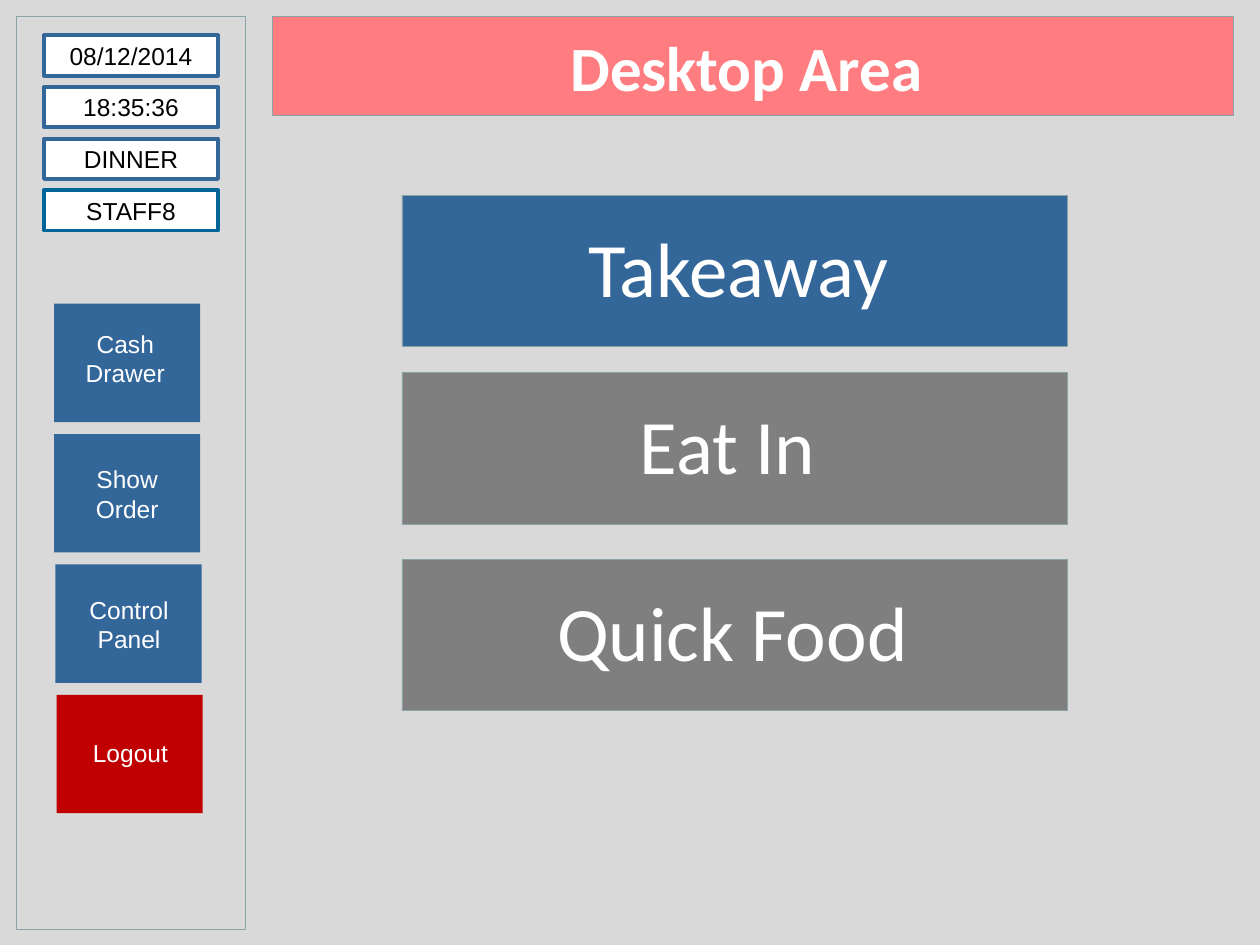
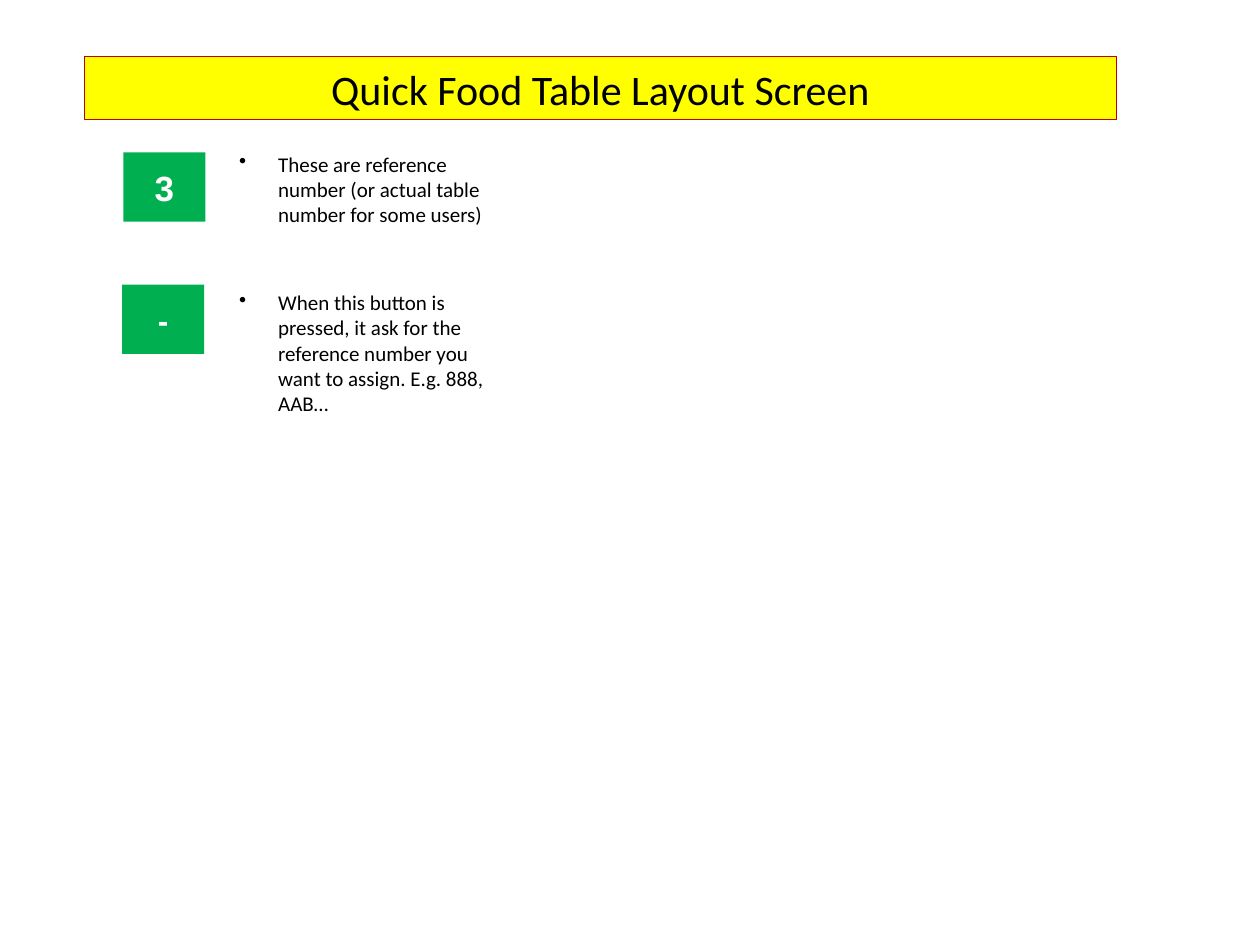
from lxml import etree
from pptx import Presentation
from pptx import util as u
from pptx.dml.color import RGBColor
from pptx.enum import shapes, text
from pptx.oxml.ns import qn

BLUE = "336699"
GREY = "7F7F7F"
RED = "C00000"
GREEN = "00B050"
WHITE = "FFFFFF"
BLACK = "000000"
OUTLINE = "89A4A7"
TITLE_ONLY = 5


def color(value):
    return RGBColor.from_string(value)


def paint(shape, fill=None, line=None, width=0.5):
    if fill:
        shape.fill.solid()
        shape.fill.fore_color.rgb = color(fill)
    else:
        shape.fill.background()
    if line:
        shape.line.color.rgb = color(line)
        shape.line.width = u.Pt(width)
    else:
        shape.line.fill.background()


def write(shape, content, size, font, ink, bold=False, wrap=False,
          anchor=text.MSO_ANCHOR.TOP, align=text.PP_ALIGN.CENTER):
    frame = shape.text_frame
    frame.text = content
    frame.word_wrap = wrap
    frame.auto_size = text.MSO_AUTO_SIZE.NONE
    frame.vertical_anchor = anchor
    for paragraph in frame.paragraphs:
        paragraph.alignment = align
        paragraph.font.size = u.Pt(size)
        paragraph.font.name = font
        paragraph.font.bold = bold
        paragraph.font.color.rgb = color(ink)


def add_box(slide, box, fill=None, line=None, width=0.5):
    shape = slide.shapes.add_shape(shapes.MSO_SHAPE.RECTANGLE, *map(u.Inches, box))
    shape.shadow.inherit = False
    paint(shape, fill, line, width)
    return shape


def add_label(slide, box, content, size, font, ink, **options):
    label = slide.shapes.add_textbox(*map(u.Inches, box))
    write(label, content, size, font, ink, **options)
    return label


def add_title(slide, box, content, size, ink, fill, line, width, **options):
    title = slide.shapes.title
    title.left, title.top, title.width, title.height = map(u.Inches, box)
    paint(title, fill, line, width)
    write(title, content, size, "Calibri", ink, **options)
    return title


def add_status_fields(slide, left, top):
    fields = [("08/12/2014", BLUE), ("18:35:36", BLUE), ("DINNER", BLUE), ("STAFF8", "006699")]
    for row, (content, line) in enumerate(fields):
        field = add_box(slide, (left, top + 0.41 * row, 1.38, 0.32), WHITE, line, 2.25)
        write(field, content, 14, "Arial", BLACK, anchor=text.MSO_ANCHOR.MIDDLE)


def add_side_buttons(slide, left, top):
    buttons = [
        ("Cash\nDrawer", BLUE, 0, (0.15, 0.15, 0.83, 0.57)),
        ("Show\nOrder", BLUE, 0, (0.23, 0.19, 0.7, 0.57)),
        ("Control\nPanel", BLUE, 0.01, (0.17, 0.19, 0.83, 0.57)),
        ("Logout", RED, 0.02, (0.19, 0.29, 0.79, 0.34)),
    ]
    for row, (content, fill, shift, (dx, dy, width, height)) in enumerate(buttons):
        x, y = left + shift, top + 1.035 * row
        add_box(slide, (x, y, 1.16, 0.94), fill)
        add_label(slide, (x + dx, y + dy, width, height), content, 14, "Arial", WHITE)


def add_sidebar(slide, left, top, width, height):
    add_box(slide, (left, top, width, height), line=OUTLINE)
    add_status_fields(slide, left + 0.22, top + 0.15)
    add_side_buttons(slide, left + 0.3, top + 2.28)


def add_order_types(slide, left, top, width):
    order_types = [
        ("Takeaway", BLUE, 0, 1.02, 3.3),
        ("Eat In", GREY, 1.41, 1.5, 2.17),
        ("Quick Food", GREY, 2.89, 0.99, 3.27),
    ]
    for content, fill, dy, label_dx, label_width in order_types:
        add_box(slide, (left, top + dy, width, 1.2), fill, OUTLINE)
        add_label(slide, (left + label_dx, top + dy + 0.15, label_width, 0.84),
                  content, 44, "Calibri", WHITE, wrap=True)


def build_desktop(presentation):
    slide = presentation.slides.add_slide(presentation.slide_layouts[TITLE_ONLY])
    slide.background.fill.solid()
    slide.background.fill.fore_color.rgb = color("D9D9D9")
    title = add_title(slide, (2.16, 0.13, 7.63, 0.79), "Desktop Area", 36, WHITE,
                      "FF7C80", OUTLINE, 0.5, bold=True, anchor=text.MSO_ANCHOR.MIDDLE)
    title.text_frame.margin_right = u.Inches(0.2)
    add_sidebar(slide, 0.13, 0.13, 1.82, 7.25)
    add_order_types(slide, 3.19, 1.55, 5.28)


def add_bullet(paragraph):
    properties = paragraph._p.get_or_add_pPr()
    properties.set("marL", str(u.Inches(0.81)))
    properties.set("indent", str(u.Inches(-0.31)))
    etree.SubElement(properties, qn("a:buChar")).set("char", "•")


def add_key_entry(slide, left, top, key, size, note, note_box):
    button = add_box(slide, (left, top, 0.65, 0.55), GREEN)
    write(button, key, size, "Arial", WHITE, bold=True, anchor=text.MSO_ANCHOR.MIDDLE)
    label = add_label(slide, note_box, note, 12, "Calibri", BLACK,
                      wrap=True, align=text.PP_ALIGN.LEFT)
    add_bullet(label.text_frame.paragraphs[0])


def build_table_layout(presentation):
    slide = presentation.slides.add_slide(presentation.slide_layouts[TITLE_ONLY])
    add_title(slide, (0.67, 0.45, 8.19, 0.5), "Quick Food Table Layout Screen", 24, BLACK,
              "FFFF00", RED, 0.75, wrap=True)
    add_key_entry(slide, 0.98, 1.21, "3", 20,
                  "These are reference number (or actual table number for some users)",
                  (1.3, 1.15, 2.76, 0.7))
    add_key_entry(slide, 0.97, 2.26, "-", 18,
                  "When this button is pressed, it ask for the reference number you "
                  "want to assign. E.g. 888, AAB…",
                  (1.3, 2.25, 2.76, 1.1))


def main():
    presentation = Presentation()
    presentation.slide_width = u.Inches(10)
    presentation.slide_height = u.Inches(7.5)
    build_desktop(presentation)
    build_table_layout(presentation)
    presentation.save("out.pptx")


if __name__ == "__main__":
    main()
